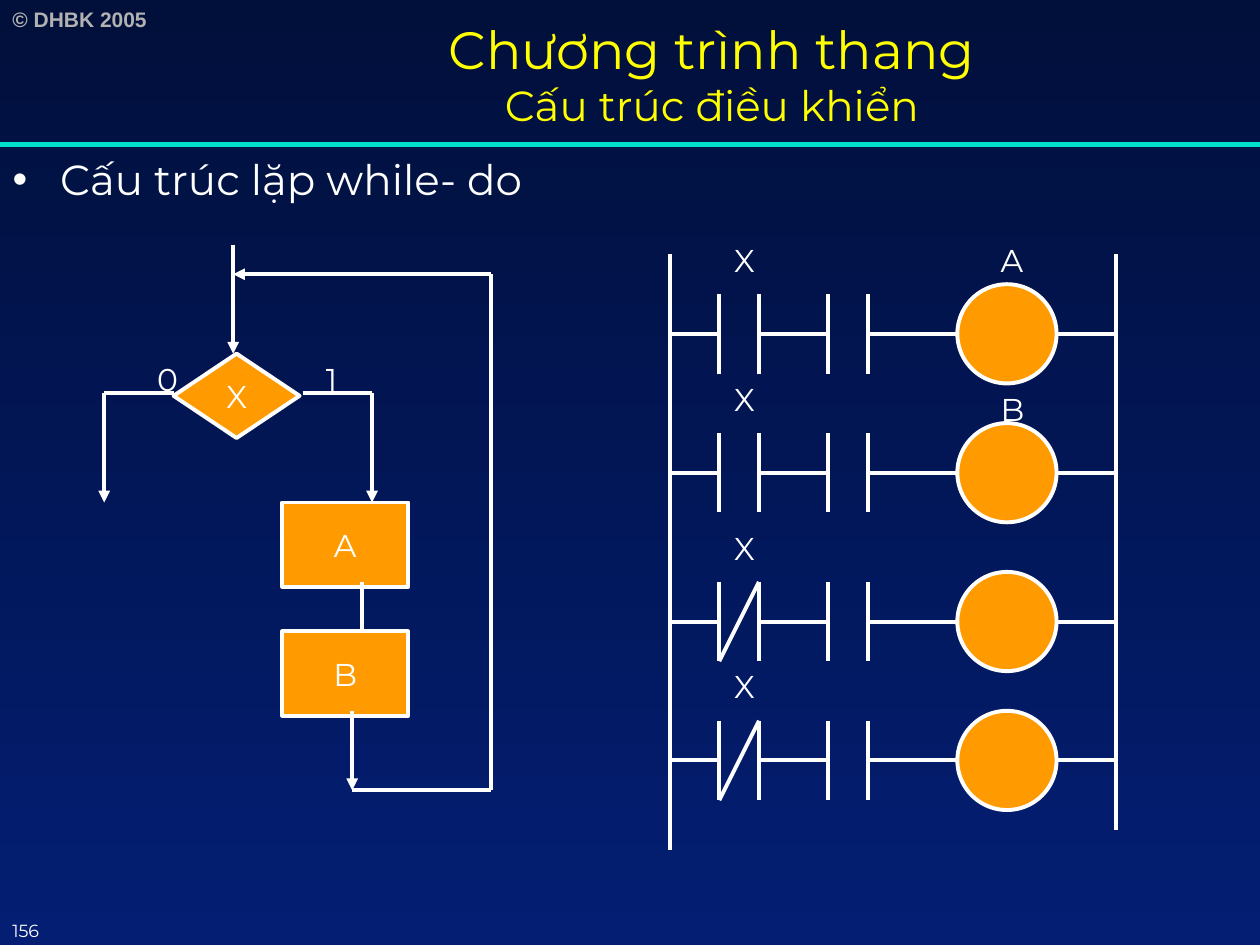
from lxml.etree import SubElement
from pptx import Presentation
from pptx.dml.color import RGBColor as Rgb
from pptx.enum.shapes import MSO_CONNECTOR as Link, MSO_SHAPE as Form
from pptx.enum.text import MSO_ANCHOR as Anchor, MSO_AUTO_SIZE as Fit, PP_ALIGN as Align
from pptx.oxml.ns import qn
from pptx.util import Cm, Pt

HUE = {"top": "010F3B", "base": "031E73", "rule": "00DFCA", "head": "FFFF00",
       "text": "FFFFFF", "fill": "FF9B00", "mark": "B2B2B2"}
PLAIN = {"name": "Montserrat", "size": Pt(18), "bold": False}


def color(name):
    """Return the named colour."""
    return Rgb.from_string(HUE[name])


def write(para, text, hue="text", **style):
    """Add a formatted run to a paragraph."""
    run = para.add_run()
    run.text = text
    for key, value in {**PLAIN, **style}.items():
        setattr(run.font, key, value)
    run.font.color.rgb = color(hue)


def place(shape, x, y, w, h):
    """Move and size a shape, in centimetres."""
    for key, value in zip(("left", "top", "width", "height"), (x, y, w, h)):
        setattr(shape, key, Cm(value))


def label(shapes, text, x, y, w=0.86, h=1.02, wrap=False, hue="text", **style):
    """Add a text box."""
    frame = shapes.add_textbox(Cm(x), Cm(y), Cm(w), Cm(h)).text_frame
    frame.word_wrap = wrap
    write(frame.paragraphs[0], text, hue, **style)


def line(shapes, x1, y1, x2, y2, arrow=False, hue="text", width=2.25):
    """Add a straight line, with an arrowhead at its end if asked."""
    link = shapes.add_connector(Link.STRAIGHT, Cm(x1), Cm(y1), Cm(x2), Cm(y2))
    link.line.color.rgb = color(hue)
    link.line.width = Pt(width)
    if arrow:
        SubElement(link.line._get_or_add_ln(), qn("a:tailEnd"), type="triangle")
    SubElement(link._element.spPr, qn("a:effectLst"))


def node(shapes, form, x, y, w, h, text=""):
    """Add an orange shape with a centred text."""
    shape = shapes.add_shape(form, Cm(x), Cm(y), Cm(w), Cm(h))
    shape.shadow.inherit = False
    shape.fill.solid()
    shape.fill.fore_color.rgb = color("fill")
    shape.line.color.rgb = color("text")
    shape.line.width = Pt(2.25)
    if text:
        frame = shape.text_frame
        frame.word_wrap = False
        frame.vertical_anchor = Anchor.MIDDLE
        frame.paragraphs[0].alignment = Align.CENTER
        write(frame.paragraphs[0], text)


def header(slide):
    """Fill the backdrop, copyright line, rule, title and page number."""
    fill = slide.background.fill
    fill.gradient()
    fill.gradient_angle = 270
    for stop, name, at in zip(fill.gradient_stops, ("top", "base"), (0, 1)):
        stop.color.rgb = color(name)
        stop.position = at
    label(slide.shapes, "© DHBK 2005", 0, 0, 3.68, 0.76, True, "mark",
          name="Arial", size=Pt(12), bold=True)
    line(slide.shapes, 0, 2.92, 25.4, 2.92, hue="rule", width=3)
    title = slide.shapes.title
    place(title, 3.3, 0, 22.1, 2.97)
    frame = title.text_frame
    frame.auto_size = Fit.NONE
    frame.vertical_anchor = Anchor.MIDDLE
    para = frame.paragraphs[0]
    para.alignment = Align.CENTER
    write(para, "Chương trình thang", "head", size=Pt(30))
    para.add_line_break()
    write(para, "Cấu trúc điều khiển", "head", size=Pt(24))
    label(slide.shapes, "156", 0, 18.42, 1.7, 0.64, True, size=Pt(10))


def topic(slide, x, y, w, h):
    """Fill the bulleted body placeholder."""
    body = slide.placeholders[1]
    place(body, x, y, w, h)
    body.text_frame.auto_size = Fit.NONE
    para = body.text_frame.paragraphs[0]
    props = para._p.get_or_add_pPr()
    props.set("marL", str(Cm(0.96)))
    props.set("indent", str(Cm(-0.96)))
    para.space_before = Pt(0)
    tint = SubElement(props, qn("a:buClr"))
    SubElement(tint, qn("a:srgbClr"), val=HUE["text"])
    SubElement(props, qn("a:buChar"), char="•")
    write(para, "Cấu trúc lặp while- do", size=Pt(24))


def flow(shapes, x, y):
    """Draw the while-do flowchart from its top left corner."""
    nodes = [(Form.FLOWCHART_DECISION, 1.4, 2.2, "X"),
             (Form.FLOWCHART_PROCESS, 3.59, 5.2, "A"),
             (Form.FLOWCHART_PROCESS, 3.59, 7.8, "B")]
    for form, dx, dy, text in nodes:
        node(shapes, form, x + dx, y + dy, 2.54, 1.7, text)
    lines = [(2.6, 0, 2.6, 2.2, True), (0, 3, 0, 5.2, True),
             (5.4, 3, 5.4, 5.2, True), (5.2, 6.8, 5.2, 7.8, False),
             (5, 9.4, 5, 11, True), (0, 3, 1.4, 3, False),
             (4, 3, 5.4, 3, False), (5, 11, 7.8, 11, False),
             (7.8, 11, 7.8, 0.6, False), (7.8, 0.6, 2.6, 0.6, True)]
    for x1, y1, x2, y2, arrow in lines:
        line(shapes, x + x1, y + y1, x + x2, y + y2, arrow)
    for text, dx in (("0", 0.82), ("1", 4.22)):
        label(shapes, text, x + dx, y + 2.2)


def contact(shapes, x, y):
    """Draw a contact whose wire starts at the given point."""
    parts = shapes.add_group_shape().shapes
    for dx in (1, 1.8):
        line(parts, x + dx, y - 0.8, x + dx, y + 0.8)
    for dx in (0, 1.8):
        line(parts, x + dx, y, x + dx + 1, y)


def coil(shapes, x, y):
    """Draw a coil whose wire starts at the given point."""
    parts = shapes.add_group_shape().shapes
    node(parts, Form.OVAL, x + 1.2, y - 1, 2, 2)
    for dx in (0, 3.2):
        line(parts, x + dx, y, x + dx + 1.2, y)


def rung(shapes, x, y, closed):
    """Draw one rung: two contacts and a coil."""
    label(shapes, "X", x + 1.05, y - 2)
    contact(shapes, x, y)
    contact(shapes, x + 2.2, y)
    coil(shapes, x + 4.6, y)
    if closed:
        line(shapes, x + 1, y + 0.8, x + 1.8, y - 0.8)


def ladder(shapes, x, y):
    """Draw the ladder diagram from its top left corner."""
    for dx, tall in ((0, 12), (9, 11.6)):
        line(shapes, x + dx, y, x + dx, y + tall)
    for dy, closed in ((1.6, False), (4.4, False), (7.4, True), (10.2, True)):
        rung(shapes, x, y + dy, closed)
    for text, dy in (("A", -0.4), ("B", 2.6)):
        label(shapes, text, x + 6.42, y + dy, 0.96)


def main():
    """Build and save the slide."""
    deck = Presentation()
    deck.slide_width, deck.slide_height = Cm(25.4), Cm(19.05)
    slide = deck.slides.add_slide(deck.slide_layouts[1])
    header(slide)
    topic(slide, 0, 2.97, 25.4, 16.08)
    flow(slide.shapes, 2.1, 4.93)
    ladder(slide.shapes, 13.5, 5.13)
    deck.save("out.pptx")


if __name__ == "__main__":
    main()
